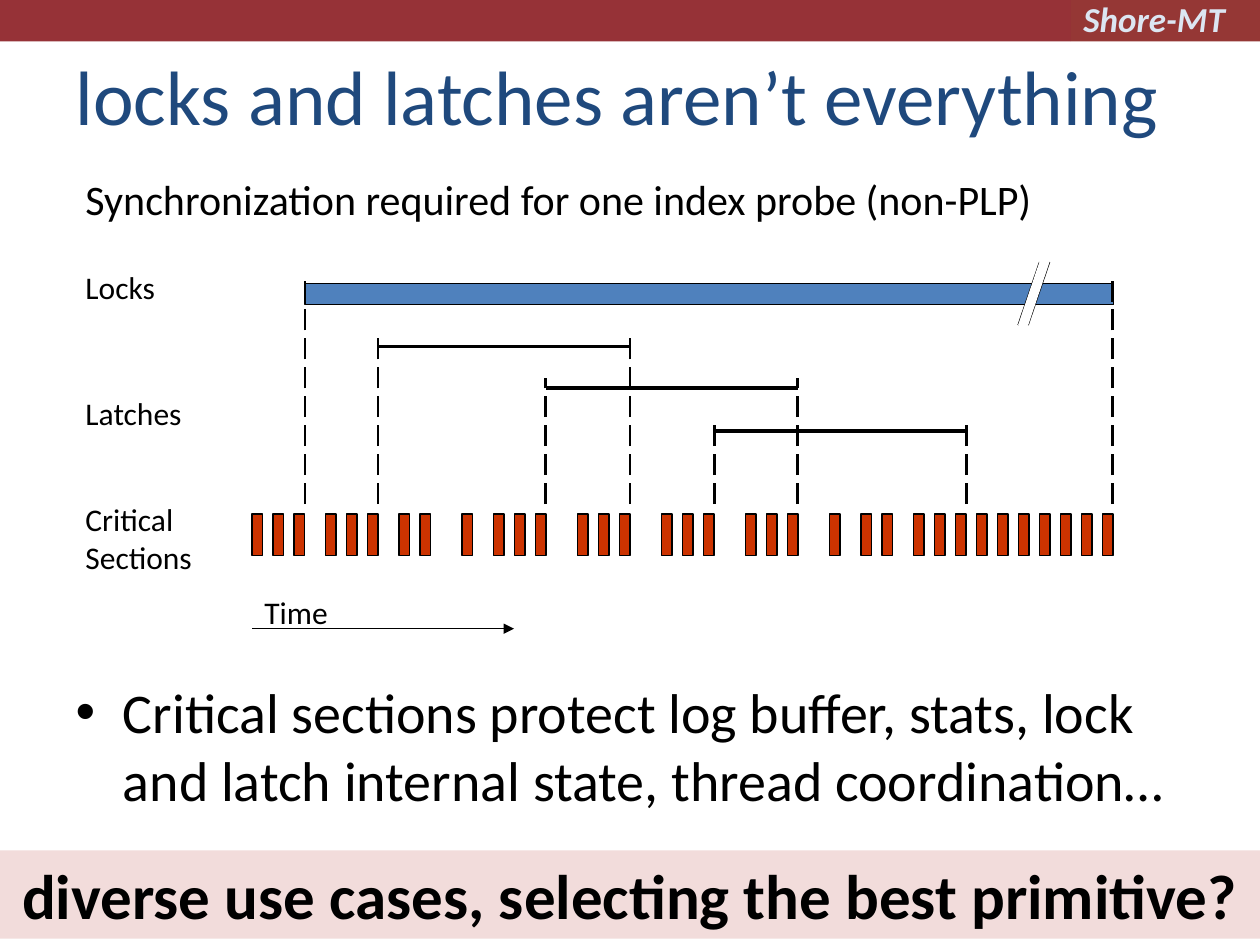
from pptx import Presentation
from pptx.dml.color import RGBColor
from pptx.enum.dml import MSO_LINE_DASH_STYLE as DASH
from pptx.enum.shapes import MSO_CONNECTOR, MSO_SHAPE as SHAPE
from pptx.enum.text import MSO_ANCHOR as ANCHOR, MSO_AUTO_SIZE as FIT, PP_ALIGN as ALIGN
from pptx.oxml.ns import qn
from pptx.util import Inches, Pt
from lxml import etree

prs = Presentation()
prs.slide_width, prs.slide_height = Inches(10), Inches(7.5)
s = prs.slides.add_slide(prs.slide_layouts[1])
rgb = RGBColor.from_string
UNIT = 1 / 12  # diagram grid, inches


def shape(kind, x, y, w, h, fill, outlined=False):
    sp = s.shapes.add_shape(kind, Inches(x), Inches(y), Inches(w), Inches(h))
    sp.shadow.inherit = False
    sp.fill.solid()
    sp.fill.fore_color.rgb = rgb(fill)
    if outlined:
        sp.line.color.rgb = rgb("000000")
        sp.line.width = Pt(0.75)
    else:
        sp.line.fill.background()
    return sp


def line(x1, y1, x2, y2, width):
    ln = s.shapes.add_connector(MSO_CONNECTOR.STRAIGHT, Inches(x1), Inches(y1),
                                Inches(x2), Inches(y2))
    ln.line.color.rgb = rgb("000000")
    ln.line.width = Pt(width)
    etree.SubElement(ln._element.spPr, qn("a:effectLst"))
    return ln


# Header band
shape(SHAPE.RECTANGLE, 0, 0, 8.5, 0.33, "963237")
shape(SHAPE.RECTANGLE, 8.5, 0, 1.5, 0.33, "953735")

# Title and bullet placeholders
title, body = s.shapes.title, s.placeholders[1]
for sp, y, h, text, size, color in [
    (title, 0.3, 0.87, "locks and latches aren’t everything", 44, "1F497D"),
    (body, 5.33, 1.37, "Critical sections protect log buffer, stats, lock and latch "
     "internal state, thread coordination…", 32, "000000"),
]:
    sp.left, sp.top, sp.width, sp.height = Inches(0.5), Inches(y), Inches(9), Inches(h)
    tf = sp.text_frame
    tf.text = text
    tf.auto_size = FIT.NONE
    p = tf.paragraphs[0]
    p.alignment = ALIGN.LEFT
    p.space_before = Pt(0)
    font = p.runs[0].font
    font.name, font.size, font.color.rgb = "Calibri", Pt(size), rgb(color)
title.text_frame.vertical_anchor = ANCHOR.BOTTOM

# Latch spans, each on its own level
latches = [(3, 5, 2.75), (4.33, 6.33, 3.08), (5.67, 7.67, 3.42)]
for x1, x2, y in latches:
    line(x1, y, x2, y, 2.25)

# Lock bar with a break mark
shape(SHAPE.RECTANGLE, 2.42, 2.25, 6.42, 0.17, "4F81BD", outlined=True)
for x in (8.25, 8.33):
    line(x, 2.08, x - 0.17, 2.58, 0.75)
gap = shape(SHAPE.PARALLELOGRAM, 8.08, 2.08, 0.25, 0.5, "FFFFFF")
gap.adjustments[0] = 0.677

# Time arrow
arrow = line(2, 4.99, 4.08, 4.99, 0.75)
etree.SubElement(arrow.line._get_or_add_ln(), qn("a:tailEnd"), type="triangle")

# Critical sections: first grid slot and number of bars in each run
runs = [(0, 3), (7, 3), (14, 2), (20, 1), (23, 3), (31, 3),
        (39, 3), (47, 3), (55, 1), (58, 2), (63, 10)]
for start, count in runs:
    for i in range(count):
        shape(SHAPE.RECTANGLE, 2 + (start + 2 * i) * UNIT, 4.08, UNIT, 0.33,
              "CC3300", outlined=True)

# Dashed guides from the critical sections up to the lock and latch ends
for x1, x2, y in [(2.42, 8.83, 2.25)] + latches:
    for x in (x1, x2):
        line(x, 4, x, y - UNIT, 1.5).line.dash_style = DASH.LONG_DASH

# Labels
for x, y, w, h, text, size, color in [
    (8.5, -0.07, 1.42, 0.44, "Shore-MT", 20, "DCE6F2"),
    (2, 4.66, 1.33, 0.4, "Time", 18, "000000"),
    (0.58, 2.08, 1.42, 0.4, "Locks", 18, "000000"),
    (0.58, 3.08, 1.42, 0.4, "Latches", 18, "000000"),
    (0.58, 3.92, 1.17, 0.7, "Critical Sections", 18, "000000"),
    (0.58, 1.33, 7.79, 0.5, "Synchronization required for one index probe (non-PLP)",
     24, "000000"),
]:
    sp = s.shapes.add_textbox(Inches(x), Inches(y), Inches(w), Inches(h))
    tf = sp.text_frame
    tf.word_wrap = True
    tf.text = text
    font = tf.paragraphs[0].runs[0].font
    font.name, font.size, font.color.rgb = "Calibri", Pt(size), rgb(color)
    if text == "Shore-MT":
        font.bold = font.italic = True

# Closing question
sp = shape(SHAPE.RECTANGLE, 0, 6.75, 10, 0.7, "F2DCDB")
tf = sp.text_frame
tf.margin_top = tf.margin_bottom = 0
tf.vertical_anchor = ANCHOR.MIDDLE
tf.text = "diverse use cases, selecting the best primitive?"
p = tf.paragraphs[0]
p.alignment = ALIGN.CENTER
font = p.runs[0].font
font.name, font.size, font.bold, font.color.rgb = "Calibri", Pt(36), True, rgb("000000")

prs.save("out.pptx")
